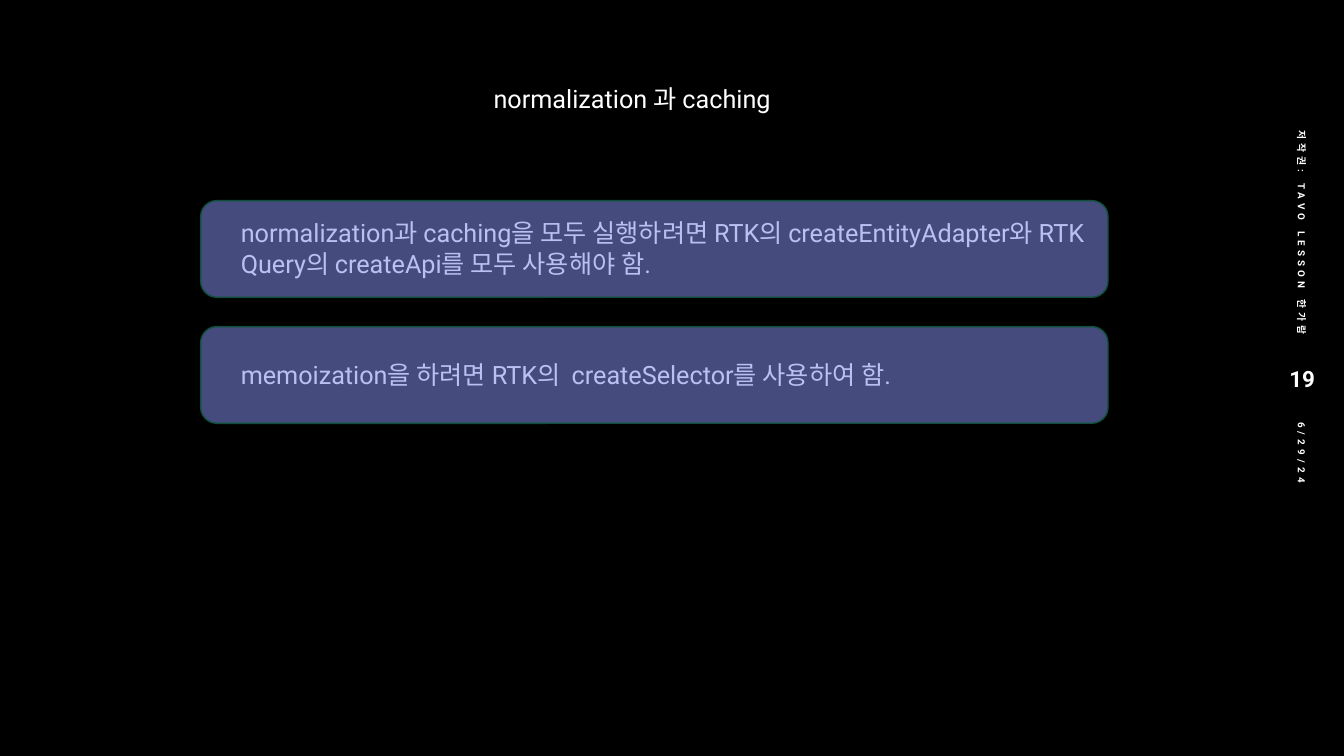
from pptx import Presentation
from pptx.dml.color import RGBColor
from pptx.enum.shapes import MSO_SHAPE as Shape
from pptx.enum.text import MSO_ANCHOR as Anchor, PP_ALIGN as Align
from pptx.oxml.xmlchemy import OxmlElement as Element
from pptx.util import Pt

PX = 9144  # 100 px to the inch
WHITE = "FFFFFF"
NOTES = [
    ("normalization과 caching을 모두 실행하려면 RTK의 createEntityAdapter와 "
     "RTK Query의 createApi를 모두 사용해야 함.", 71),
    ("memoization을 하려면 RTK의  createSelector를 사용하여 함.", 40),
]


def px(*sizes):
    return [size * PX for size in sizes]


def color(code):
    return RGBColor.from_string(code)


def label(slide, box, text, size, align=Align.LEFT, anchor=Anchor.TOP, bold=False):
    shape = slide.shapes.add_textbox(*px(*box))
    frame = shape.text_frame
    frame.word_wrap = True
    frame.vertical_anchor = anchor
    para = frame.paragraphs[0]
    para.text = text
    para.alignment = align
    font = para.font
    font.name, font.size, font.bold = "Roboto", Pt(size), bold
    font.color.rgb = color(WHITE)
    return shape


def side(slide, box, text, align):
    """Small spaced text, turned to read downwards."""
    shape = label(slide, box, text, 7, align, Anchor.MIDDLE, True)
    shape.rotation = 90
    for run in shape.text_frame.paragraphs[0].runs:
        run.font._element.set("spc", "300")


def margin(slide, left, top):
    side(slide, (left, top + 359, 292, 40), "6/29/24", Align.LEFT)
    side(slide, (left, top, 292, 40), "저작권: TAVO LESSON 한가람", Align.RIGHT)
    label(slide, (left + 112, top + 176, 69, 47), "19", 16,
          Align.CENTER, Anchor.MIDDLE, True)


def veil(slide, box):
    """See-through rounded panel that tints the text beneath it."""
    panel = slide.shapes.add_shape(Shape.ROUNDED_RECTANGLE, *px(*box))
    panel.shadow.inherit = False
    panel.fill.solid()
    panel.fill.fore_color.rgb = color("828CE8")
    alpha = Element("a:alpha")
    alpha.set("val", "54000")
    panel.fill._xPr.solidFill[0].append(alpha)
    panel.line.color.rgb = color("0E5039")
    panel.line.width = Pt(1)


def notes(slide, left, top, width, height, step):
    for row, (text, tall) in enumerate(NOTES):
        y = top + row * step
        label(slide, (left + 30, y + (height - tall) // 2, width - 30, tall), text, 18)
        veil(slide, (left, y, width, height))


def main():
    deck = Presentation()
    deck.slide_width, deck.slide_height = px(1333, 750)
    slide = deck.slides.add_slide(deck.slide_layouts[6])
    slide.background.fill.solid()
    slide.background.fill.fore_color.rgb = color("000000")
    margin(slide, 1145, 176)
    label(slide, (229, 78, 796, 40), "normalization 과 caching", 18, Align.CENTER)
    notes(slide, 199, 199, 900, 96, 125)
    deck.save("out.pptx")


if __name__ == "__main__":
    main()
